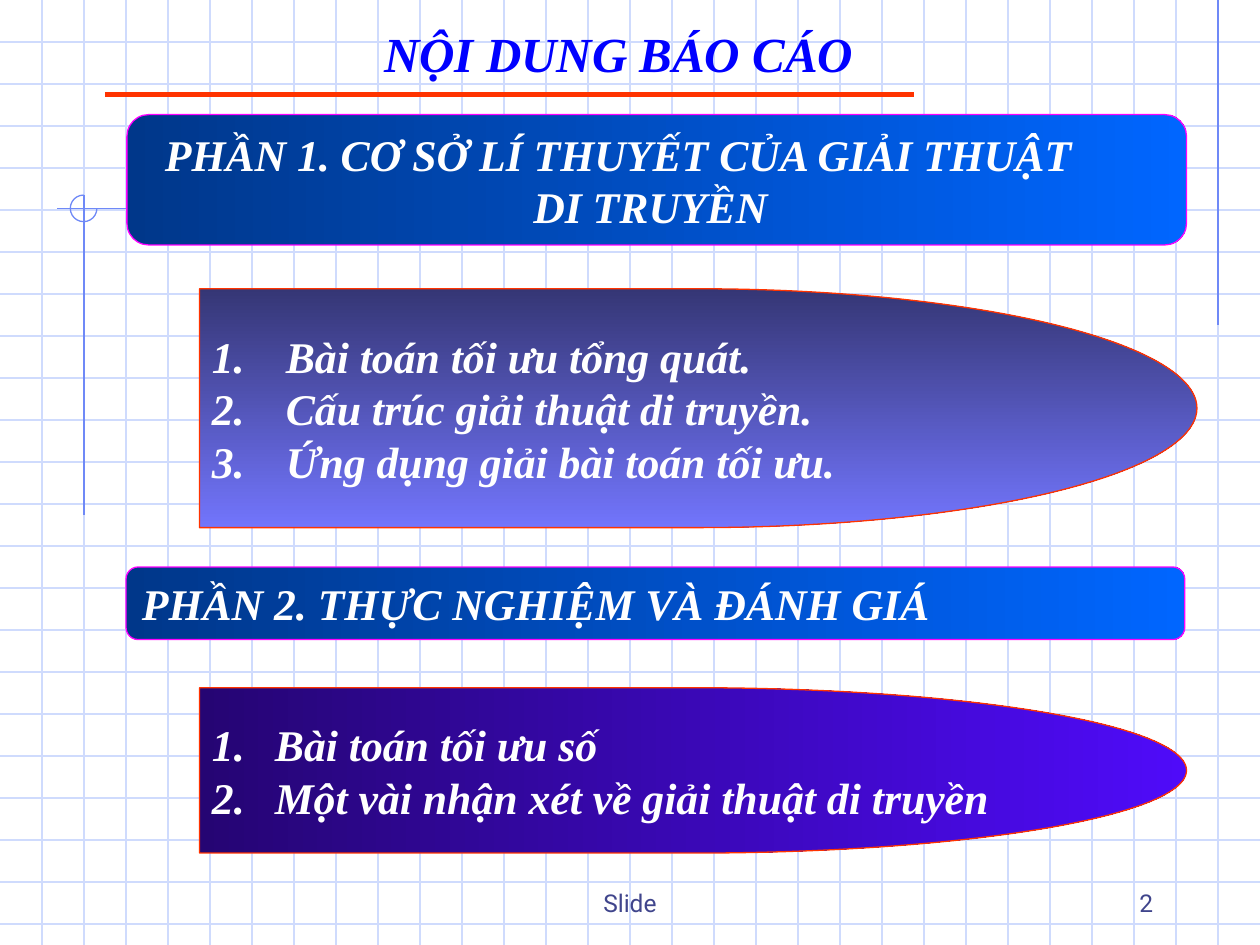
from lxml.etree import SubElement
from pptx import Presentation
from pptx.dml.color import RGBColor
from pptx.enum.shapes import MSO_CONNECTOR, MSO_SHAPE as SHAPE
from pptx.enum.text import MSO_ANCHOR as ANCHOR, PP_ALIGN as ALIGN
from pptx.oxml.ns import qn
from pptx.util import Pt

WHITE = RGBColor(0xFF, 0xFF, 0xFF)
GRID = RGBColor(0xCF, 0xDB, 0xFD)
RULE = RGBColor(0x6F, 0x89, 0xF7)
BLUE = RGBColor(0x00, 0x00, 0xFF)
RED = RGBColor(0xFF, 0x33, 0x00)
PINK = RGBColor(0xFF, 0x00, 0xFF)
SLATE = RGBColor(0x40, 0x45, 0x8C)
NAVY_BLUE = RGBColor(0x00, 0x37, 0x8A), RGBColor(0x00, 0x66, 0xFF)
DUSK = RGBColor(0x35, 0x36, 0x75), RGBColor(0x72, 0x75, 0xFC)
VIOLET = RGBColor(0x25, 0x05, 0x73), RGBColor(0x4F, 0x0B, 0xF9)

WIDTH, HEIGHT, STEP = 720, 540, 24
BODY = {"name": "Times New Roman", "size": Pt(25), "bold": True, "italic": True}
TITLE = {**BODY, "size": Pt(28)}
FOOTER = {"name": "Roboto", "size": Pt(14)}


class SlideBuilder:
    """Draw styled elements on one slide, with lengths in points."""

    def __init__(self, prs):
        self.shapes = prs.slides.add_slide(prs.slide_layouts[6]).shapes

    def line(self, x1, y1, x2, y2, color, width=0.75):
        ln = self.shapes.add_connector(
            MSO_CONNECTOR.STRAIGHT, Pt(x1), Pt(y1), Pt(x2), Pt(y2))
        ln.line.color.rgb = color
        ln.line.width = Pt(width)
        SubElement(ln._element.spPr, qn("a:effectLst"))

    def shape(self, kind, box, color):
        sp = self.shapes.add_shape(kind, *map(Pt, box))
        sp.shadow.inherit = False
        sp.line.color.rgb = color
        sp.line.width = Pt(0.75)
        return sp

    def arc(self, box, color):
        sp = self.shape(SHAPE.ARC, box, color)
        sp.fill.background()
        sp.adjustments[0], sp.adjustments[1] = 0, 162

    def panel(self, kind, box, stops, angle, color):
        sp = self.shape(kind, box, color)
        sp.fill.gradient()
        sp.fill.gradient_angle = angle
        for stop, rgb in zip(sp.fill.gradient_stops, stops):
            stop.color.rgb = rgb
        return sp.text_frame

    def paragraph(self, p, text, color, style, align=ALIGN.LEFT):
        p.text = text
        p.alignment = align
        for r in p.runs:
            r.font.color.rgb = color
            for key, value in style.items():
                setattr(r.font, key, value)

    def indent(self, p, left, first):
        pPr = p._p.get_or_add_pPr()
        pPr.set("marL", str(Pt(left)))
        pPr.set("indent", str(Pt(first)))
        return pPr

    def text(self, box, text, color, style, align, anchor):
        tf = self.shapes.add_textbox(*map(Pt, box)).text_frame
        tf.word_wrap = True
        tf.vertical_anchor = anchor
        self.paragraph(tf.paragraphs[0], text, color, style, align)

    def heading(self, box, text, left=0, first=0):
        tf = self.panel(SHAPE.FLOWCHART_ALTERNATE_PROCESS, box, NAVY_BLUE, 0, PINK)
        p = tf.paragraphs[0]
        self.paragraph(p, text, WHITE, BODY)
        p.space_before = Pt(15)
        self.indent(p, left, first)

    def numbered(self, box, stops, angle, items, hang):
        tf = self.panel(SHAPE.FLOWCHART_DELAY, box, stops, angle, RED)
        for i, item in enumerate(items):
            p = tf.add_paragraph() if i else tf.paragraphs[0]
            self.paragraph(p, item, WHITE, BODY)
            pPr = self.indent(p, hang, -hang)
            clr = SubElement(pPr, qn("a:buClr"))
            SubElement(clr, qn("a:srgbClr"), val=str(WHITE))
            SubElement(pPr, qn("a:buAutoNum"), type="arabicPeriod")


def main():
    prs = Presentation()
    prs.slide_width, prs.slide_height = Pt(WIDTH), Pt(HEIGHT)
    s = SlideBuilder(prs)

    for y in range(STEP, HEIGHT, STEP):
        s.line(0, y, WIDTH, y, GRID)
    for x in range(STEP, WIDTH, STEP):
        s.line(x, 0, x, HEIGHT, GRID)
    s.line(696, 0, 696, 186, RULE)
    s.line(172.8, 119.3, 32.4, 119.3, RULE)
    s.line(48, 111.5, 48, 294.5, RULE)
    s.arc((40.2, 111.5, 15.2, 15.2), RULE)

    s.text((246, 492, 228, 36), "Slide", SLATE, FOOTER, ALIGN.CENTER, ANCHOR.BOTTOM)
    s.text((516, 492, 150, 36), "2", SLATE, FOOTER, ALIGN.RIGHT, ANCHOR.BOTTOM)
    s.line(60, 54, 522, 54, RED, 3)
    s.text((162, 6, 390, 48), "NỘI DUNG BÁO CÁO ", BLUE, TITLE,
           ALIGN.CENTER, ANCHOR.MIDDLE)

    s.heading((72.5, 65.5, 605.5, 74.5),
              "PHẦN 1. CƠ SỞ LÍ THUYẾT CỦA GIẢI THUẬT\vDI TRUYỀN", 221.5, -210.5)
    s.numbered((114, 165, 570, 136.5), DUSK, 270, (
        "Bài toán tối ưu tổng quát.",
        "Cấu trúc giải thuật di truyền.",
        "Ứng dụng giải bài toán tối ưu."), 42.25)
    s.heading((72, 324, 605, 41.5), "PHẦN 2. THỰC NGHIỆM VÀ ĐÁNH GIÁ")
    s.numbered((114, 393, 564, 94.5), VIOLET, 0, (
        "Bài toán tối ưu số",
        "Một vài nhận xét về giải thuật di truyền"), 36)

    prs.save("out.pptx")


if __name__ == "__main__":
    main()
